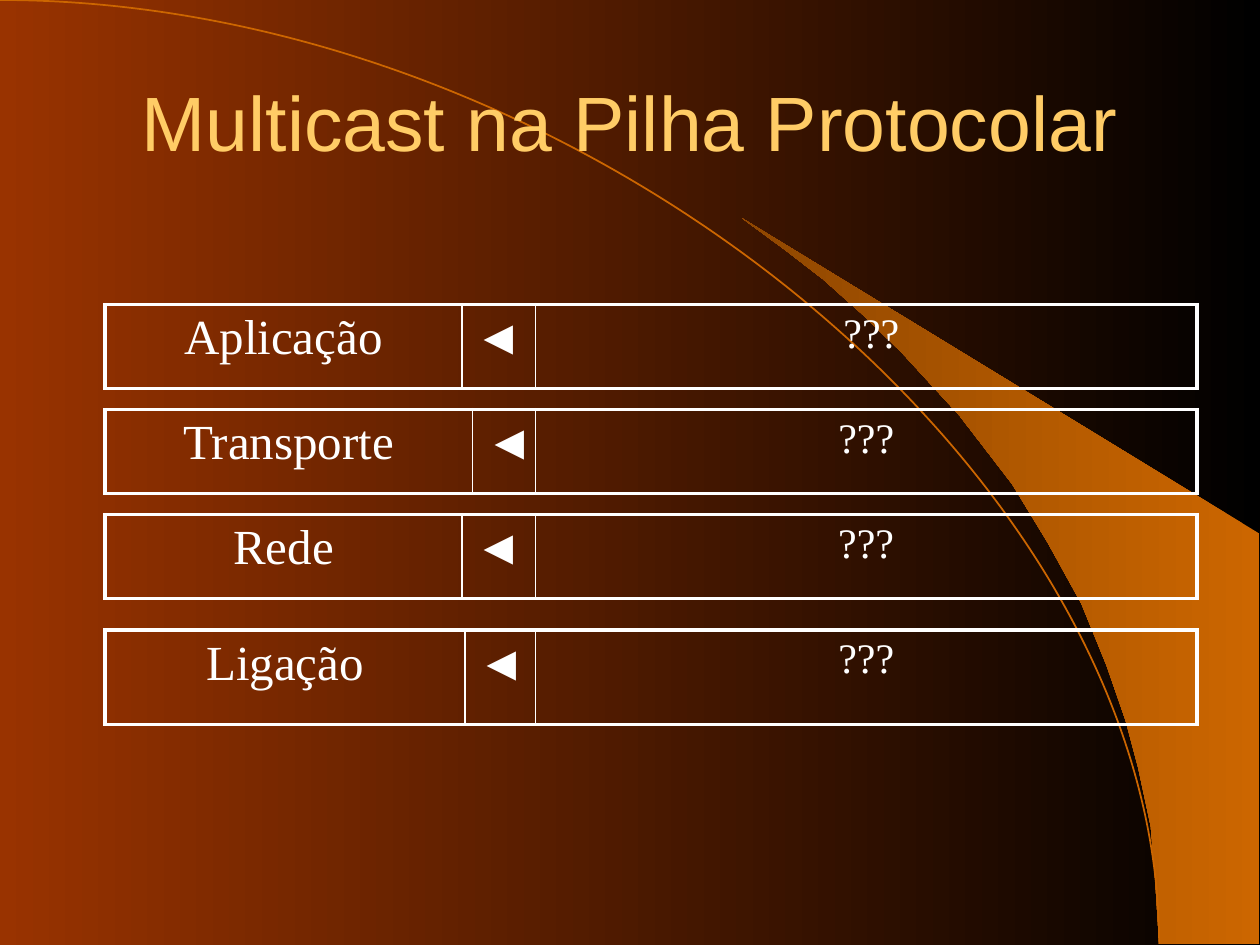
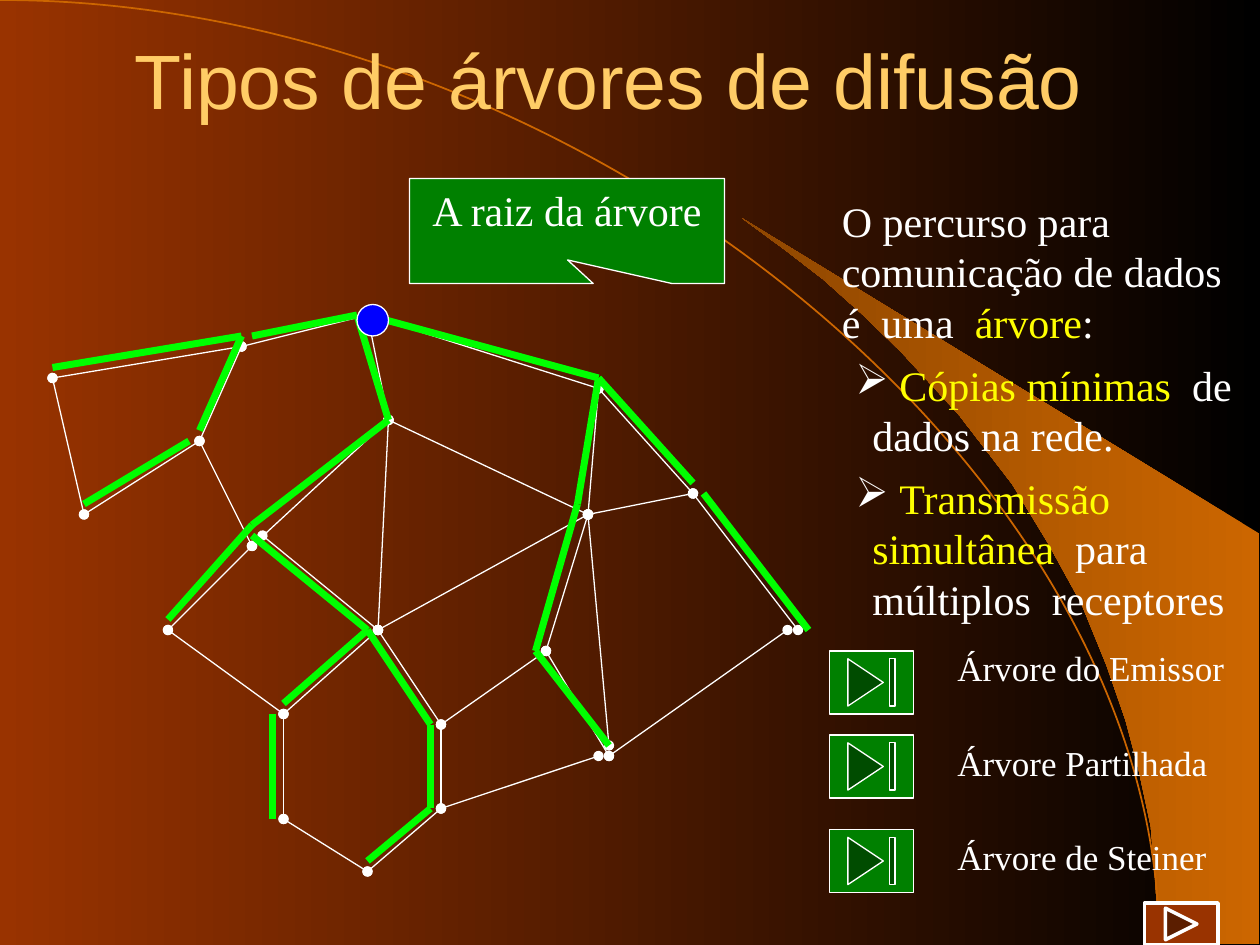
from itertools import pairwise

from lxml import etree
from pptx import Presentation
from pptx.dml.color import RGBColor
from pptx.enum.shapes import MSO_CONNECTOR, MSO_SHAPE
from pptx.enum.text import MSO_ANCHOR, PP_ALIGN
from pptx.oxml.ns import qn
from pptx.util import Pt

PX = 7620  # EMU per px: 120 px to the inch
GRID = 10  # px per step of the network drawing
WIDTH, HEIGHT = 1200, 900
TITLE_ONLY = 5

LEFT, CENTER = PP_ALIGN.LEFT, PP_ALIGN.CENTER
TOP, MIDDLE = MSO_ANCHOR.TOP, MSO_ANCHOR.MIDDLE
STRAIGHT, CURVE = MSO_CONNECTOR.STRAIGHT, MSO_CONNECTOR.CURVE
CALLOUT = MSO_SHAPE.ROUNDED_RECTANGULAR_CALLOUT
CIRCLE = MSO_SHAPE.FLOWCHART_CONNECTOR
END_BUTTON = MSO_SHAPE.ACTION_BUTTON_END
NEXT_BUTTON = MSO_SHAPE.ACTION_BUTTON_FORWARD_OR_NEXT

TITLE_FONT, BODY_FONT = "Arial", "Times New Roman"
BULLET_FONT, BULLET_ARROW = "Wingdings", "Ø"  # this letter is an arrowhead there
COLORS = {
    "black": "000000", "rust": "993300", "orange": "CC6600", "brown": "8F4700",
    "title": "FFCC66", "white": "FFFFFF", "yellow": "FFFF00",
    "green": "008000", "tree": "00FF00", "root": "0000FF",
}

SWOOSH = [
    (1104, 899), (1199, 899), (1199, 508), (707, 208), (749, 239), (784, 266),
    (822, 300), (859, 336), (914, 396), (964, 461), (998, 517), (1030, 575),
    (1054, 634), (1072, 686), (1084, 731), (1096, 787), (1100, 835),
]

# Layer name, answer, top, height, width of the name column
LAYERS = [
    ("Aplicação", " ???", 290, 80, 340),
    ("Transporte", "???", 390, 80, 350),
    ("Rede", "???", 490, 80, 340),
    ("Ligação", "???", 600, 90, 343),
]

# Chains of points, in grid steps
NETWORK_LINKS = [
    [(35, 30), (23, 33), (19, 42), (24, 52), (16, 60), (27, 68), (27, 78), (35, 83)],
    [(19, 42), (8, 49), (5, 36), (23, 33)],
    [(35, 30), (37, 40), (24, 52)],
    [(25, 51), (36, 60)],
    [(37, 40), (36, 60), (42, 69), (42, 77), (35, 83)],
    [(35, 30), (57, 37), (56, 49), (37, 40)],
    [(57, 37), (66, 47), (76, 60)],
    [(56, 49), (36, 60), (27, 68)],
    [(56, 49), (52, 62), (42, 69)],
    [(52, 62), (58, 72)],
    [(42, 77), (57, 72)],
    [(56, 49), (66, 47)],
    [(75, 60), (58, 72)],
    [(56, 49), (58, 71)],
]
TREE_BRANCHES = [
    [(34, 30), (24, 32)],
    [(23, 32), (5, 35)],
    [(23, 32), (19, 41)],
    [(18, 42), (8, 48)],
    [(34, 30), (37, 40), (24, 50), (16, 59)],
    [(24, 51), (35, 60), (27, 67)],
    [(26, 68), (26, 78)],
    [(35, 60), (41, 69), (41, 77), (35, 82)],
    [(35, 30), (57, 36), (55, 48), (51, 62), (58, 71)],
    [(57, 36), (66, 46)],
    [(67, 47), (77, 60)],
]


def emu(*lengths):
    return [round(length * PX) for length in lengths]


def rgb(name):
    return RGBColor.from_string(COLORS[name])


def add_xml(parent, tag, **attributes):
    return etree.SubElement(parent, qn(tag), attributes)


def set_gradient(fill, right, left):
    """Fade from the right edge to the left edge."""
    fill.gradient()
    fill.gradient_angle = 180
    for stop, color, position in zip(fill.gradient_stops, (right, left), (0, 1)):
        stop.color.rgb = rgb(color)
        stop.position = position


def write_text(text_frame, *runs, size, color="white", font=BODY_FONT,
               align=LEFT, new=False, before=0):
    """Write one paragraph; a run is a text or a (text, color) pair."""
    paragraph = text_frame.add_paragraph() if new else text_frame.paragraphs[0]
    paragraph.alignment = align
    paragraph.space_before = Pt(before)
    for item in runs:
        text, run_color = (item, color) if isinstance(item, str) else item
        run = paragraph.add_run()
        run.text = text
        run.font.name = font
        run.font.size = Pt(size)
        run.font.color.rgb = rgb(run_color)
    return paragraph


def add_bullet(paragraph, margin, indent):
    properties = paragraph._p.get_or_add_pPr()
    properties.set("marL", str(margin * PX))
    properties.set("indent", str(indent * PX))
    bullet_color = add_xml(properties, "a:buClr")
    add_xml(bullet_color, "a:srgbClr", val=COLORS["white"])
    add_xml(properties, "a:buFont", typeface=BULLET_FONT, pitchFamily="2", charset="2")
    add_xml(properties, "a:buChar", char=BULLET_ARROW)


def add_text_box(slide, box):
    text_frame = slide.shapes.add_textbox(*emu(*box)).text_frame
    text_frame.word_wrap = True
    return text_frame


def add_filled(slide, kind, box, fill, line_width=0.75):
    shape = slide.shapes.add_shape(kind, *emu(*box))
    shape.shadow.inherit = False
    shape.fill.solid()
    shape.fill.fore_color.rgb = rgb(fill)
    shape.line.color.rgb = rgb("white")
    shape.line.width = Pt(line_width)
    return shape


def add_line(slide, start, end, color, width, kind=STRAIGHT, dots=False):
    connector = slide.shapes.add_connector(kind, *emu(*start, *end))
    connector.line.color.rgb = rgb(color)
    connector.line.width = Pt(width)
    if dots:
        line = connector.line._get_or_add_ln()
        add_xml(line, "a:headEnd", type="oval")
        add_xml(line, "a:tailEnd", type="oval")
    add_xml(connector.element.spPr, "a:effectLst")
    return connector


def add_backdrop(slide):
    """Orange swoosh and thin arc behind everything else."""
    builder = slide.shapes.build_freeform(*SWOOSH[0], scale=PX)
    builder.add_line_segments(SWOOSH[1:], close=True)
    swoosh = builder.convert_to_shape()
    swoosh.shadow.inherit = False
    set_gradient(swoosh.fill, "orange", "brown")
    swoosh.line.fill.background()

    arc = add_line(slide, (0, 0), SWOOSH[0], "orange", 1, kind=CURVE)
    arc.element.spPr.find(qn("a:prstGeom")).set("prst", "curvedConnector2")


def add_titled_slide(presentation, title, box, right_inset=12):
    slide = presentation.slides.add_slide(presentation.slide_layouts[TITLE_ONLY])
    add_backdrop(slide)
    placeholder = slide.shapes.title
    placeholder.element.getparent().append(placeholder.element)  # bring to front
    placeholder.left, placeholder.top, placeholder.width, placeholder.height = emu(*box)
    text_frame = placeholder.text_frame
    text_frame.vertical_anchor = MIDDLE
    text_frame.margin_right = right_inset * PX
    write_text(text_frame, title, size=44, color="title", font=TITLE_FONT, align=CENTER)
    return slide


def set_borders(cell, **widths):
    properties = cell._tc.get_or_add_tcPr()
    for index, side in enumerate("LRTB"):
        line = etree.Element(qn(f"a:ln{side}"), w=str(Pt(widths[side])))
        add_xml(add_xml(line, "a:solidFill"), "a:srgbClr", val=COLORS["white"])
        properties.insert(index, line)


def add_layer_table(slide, box, name, answer, name_width):
    """One protocol layer: name, arrow and answer."""
    thick, thin = 2.21, 0.96
    answer_width = 630
    table = slide.shapes.add_table(1, 3, *emu(*box)).table
    table.first_row = table.horz_banding = False
    widths = (name_width, box[2] - name_width - answer_width, answer_width)
    contents = ((name, 28, CENTER), ("◄", 28, LEFT), (answer, 24, CENTER))
    for index, (width, (text, size, align)) in enumerate(zip(widths, contents)):
        table.columns[index].width = width * PX
        cell = table.cell(0, index)
        cell.fill.background()
        set_borders(cell, L=thick if index == 0 else thin,
                    R=thick if index == 2 else thin, T=thick, B=thick)
        write_text(cell.text_frame, text, size=size, align=align)


def add_chains(slide, origin, chains, **line_format):
    for chain in chains:
        points = [(origin[0] + x * GRID, origin[1] + y * GRID) for x, y in chain]
        for start, end in pairwise(points):
            add_line(slide, start, end, **line_format)


def add_root(slide, left, top):
    """Callout and the root node it names."""
    callout = add_filled(slide, CALLOUT, (left + 50, top, 300, 100), "green")
    for index, value in enumerate((0.002, 0.276, 0)):
        callout.adjustments[index] = value
    callout.text_frame.vertical_anchor = TOP
    write_text(callout.text_frame, "A raiz da árvore", size=24, align=CENTER)
    add_filled(slide, CIRCLE, (left, top + 120, 30, 30), "root")


def add_explanation(slide, box):
    text_frame = add_text_box(slide, box)
    write_text(text_frame, "O percurso para comunicação de dados é  uma ",
               (" árvore", "yellow"), ":", size=24)
    for highlight, rest in (
        ("Cópias mínimas ", " de dados na rede."),
        ("Transmissão simultânea ", " para múltiplos  receptores"),
    ):
        paragraph = write_text(text_frame, " ", (highlight, "yellow"), rest,
                               size=24, new=True, before=7.2)
        add_bullet(paragraph, 29, -16)


def add_tree_menu(slide, left, top):
    """Button and label for each kind of tree."""
    for label, button_offset, label_offset in (
        ("Árvore do Emissor", 10, 0),
        ("Árvore Partilhada", 90, 90),
        ("Árvore de Steiner", 180, 180),
    ):
        add_filled(slide, END_BUTTON, (left, top + button_offset, 80, 60), "green")
        text_frame = add_text_box(slide, (left + 110, top + label_offset, 300, 52))
        write_text(text_frame, label, size=20)


def build_stack_slide(presentation):
    slide = add_titled_slide(presentation, "Multicast na Pilha Protocolar",
                             (90, 40, 1020, 150))
    for name, answer, top, height, name_width in LAYERS:
        add_layer_table(slide, (100, top, 1040, height), name, answer, name_width)


def build_tree_slide(presentation):
    slide = add_titled_slide(presentation, "Tipos de árvores de difusão",
                             (0, 0, WIDTH, 150), right_inset=52)
    add_chains(slide, (0, 0), NETWORK_LINKS, color="white", width=0.75, dots=True)
    add_explanation(slide, (790, 180, 410, 424))
    add_chains(slide, (0, 0), TREE_BRANCHES, color="tree", width=4)
    add_root(slide, 340, 170)
    add_tree_menu(slide, 790, 610)
    add_filled(slide, NEXT_BUTTON, (1090, 860, 70, 40), "rust", line_width=2)


def main():
    presentation = Presentation()
    presentation.slide_width, presentation.slide_height = emu(WIDTH, HEIGHT)
    set_gradient(presentation.slide_master.background.fill, "black", "rust")
    build_stack_slide(presentation)
    build_tree_slide(presentation)
    presentation.save("out.pptx")


if __name__ == "__main__":
    main()
